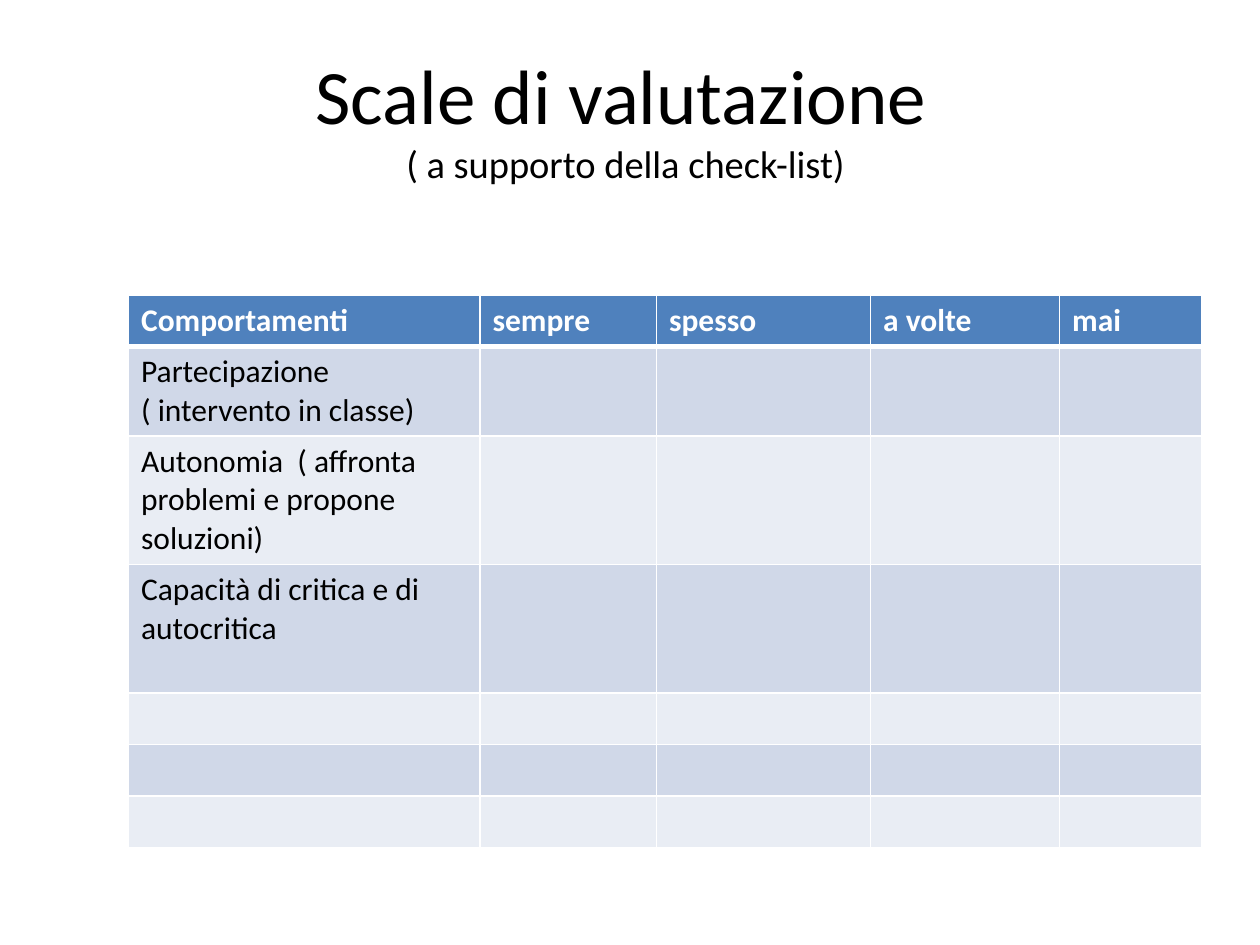
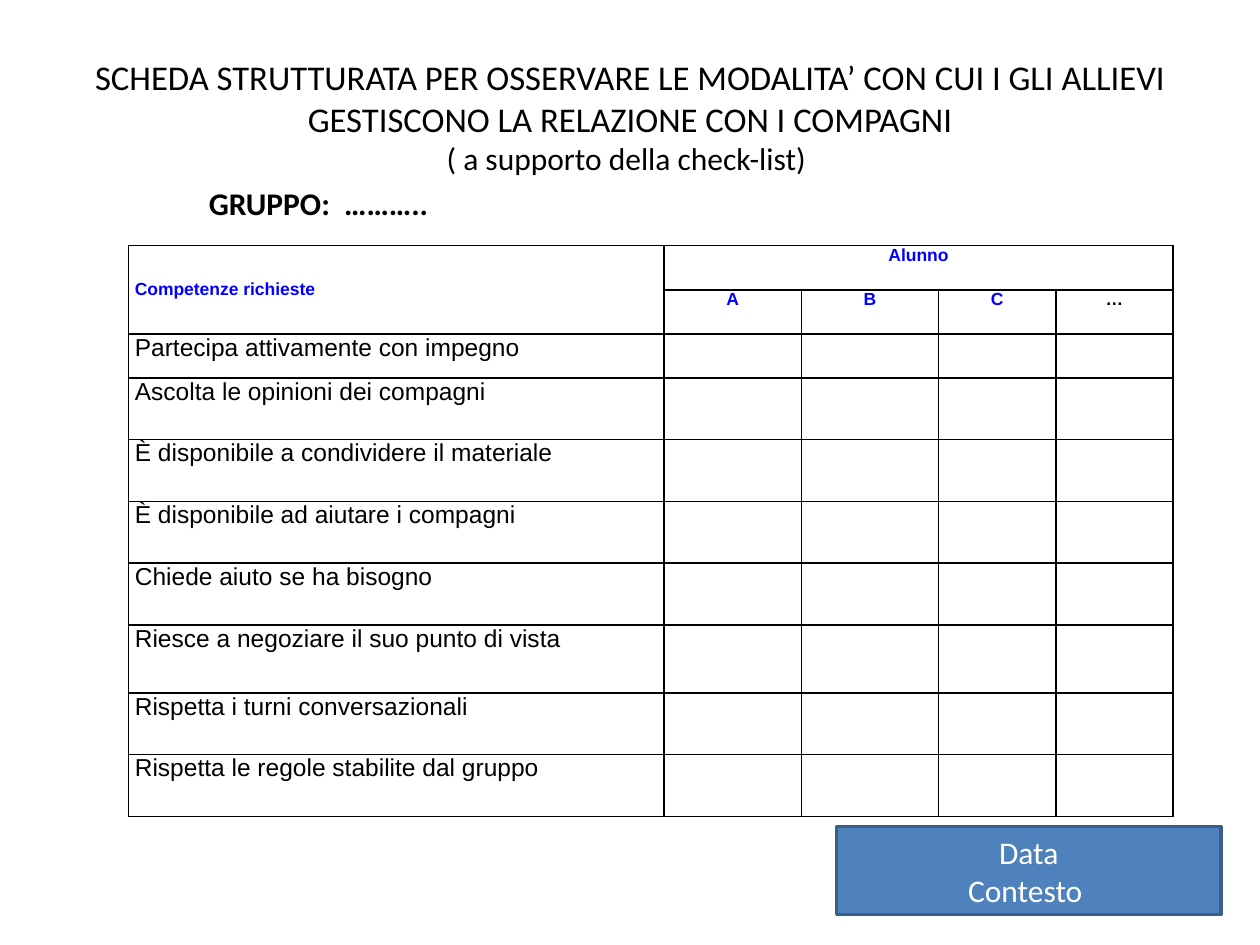
from lxml import etree
from pptx import Presentation
from pptx.dml.color import RGBColor
from pptx.enum.shapes import MSO_SHAPE
from pptx.enum.text import MSO_ANCHOR, PP_ALIGN
from pptx.oxml.ns import qn
from pptx.util import Inches, Pt

LEFT, CENTER = PP_ALIGN.LEFT, PP_ALIGN.CENTER
TOP, MIDDLE = MSO_ANCHOR.TOP, MSO_ANCHOR.MIDDLE
RECTANGLE = MSO_SHAPE.RECTANGLE

BLACK = RGBColor(0x00, 0x00, 0x00)
WHITE = RGBColor(0xFF, 0xFF, 0xFF)
ACCENT = RGBColor(0x4F, 0x81, 0xBD)
ACCENT_DARK = RGBColor(0x3A, 0x5F, 0x8C)
BAND_DARK = RGBColor(0xD0, 0xD8, 0xE8)
BAND_LIGHT = RGBColor(0xE9, 0xED, 0xF4)
HEADING_BLUE = RGBColor(0x00, 0x00, 0xFF)
BODY_FONT, FORM_FONT = "Calibri", "Arial"

# Content: rating scales
SCALE_TITLE = [("Scale di valutazione ", 44), ("( a supporto della check-list) ", 22)]
SCALE_HEADER = ["Comportamenti", "sempre", "spesso", "a volte", "mai"]
BEHAVIOURS = [
    ["Partecipazione", "( intervento in classe)"],
    ["Autonomia  ( affronta problemi e propone soluzioni)"],
    ["Capacità di critica e di autocritica"],
    [], [], [],
]
SCALE_COLUMNS = [2.79, 1.4, 1.7, 1.5, 1.13]
SCALE_ROWS = [0.41, 0.71, 1.02, 1.02, 0.41, 0.41, 0.41]

# Content: observation form
FORM_TITLE = [
    ("SCHEDA STRUTTURATA PER OSSERVARE LE MODALITA’ CON CUI I GLI ALLIEVI "
     "GESTISCONO LA RELAZIONE CON I COMPAGNI", 19.8),
    ("( a supporto della check-list) ", 18),
]
GROUP_LABEL = "GRUPPO:  ……….."
SKILLS_HEADING, PUPIL_HEADING = "Competenze richieste", "Alunno"
PUPILS = ["A", "B", "C", "…"]
SKILLS = [
    "Partecipa attivamente con impegno",
    "Ascolta le opinioni dei compagni",
    "È disponibile a condividere il materiale",
    "È disponibile ad aiutare i compagni",
    "Chiede aiuto se ha bisogno",
    "Riesce a negoziare il suo punto di vista",
    "Rispetta i turni conversazionali",
    "Rispetta le regole stabilite dal gruppo",
]
FORM_COLUMNS = [4.25, 1.09, 1.09, 0.93, 0.93]
FORM_ROWS = [0.35] * 3 + [0.49] * 4 + [0.54] + [0.49] * 2
CONTEXT_LINES = ["Data", "Contesto "]

# Shared places, in inches
SLIDE_SIZE = (10, 7.5)
TITLE_BOX = (0.5, 0.3, 9, 1.25)
TABLE_LEFT = 1.02


def write(frame, lines, align=LEFT, anchor=TOP, font=BODY_FONT, color=BLACK, bold=False):
    """Write (text, size) lines, one paragraph each."""
    frame.word_wrap = True
    frame.vertical_anchor = anchor
    for number, (text, size) in enumerate(lines):
        paragraph = frame.add_paragraph() if number else frame.paragraphs[0]
        paragraph.alignment = align
        run = paragraph.add_run()
        run.text = text
        run.font.name, run.font.size, run.font.bold = font, Pt(size), bold
        run.font.color.rgb = color


def add_text(slide, box, lines, **style):
    write(slide.shapes.add_textbox(*map(Inches, box)).text_frame, lines, **style)


def add_titled_slide(deck, title):
    slide = deck.slides.add_slide(deck.slide_layouts[6])
    add_text(slide, TITLE_BOX, title, align=CENTER, anchor=MIDDLE)
    return slide


def set_borders(cell, color, bottom=1, top=1):
    properties = cell._tc.get_or_add_tcPr()
    for side, width in (("L", 1), ("R", 1), ("T", top), ("B", bottom)):
        line = etree.SubElement(properties, qn(f"a:ln{side}"), w=str(Pt(width)))
        fill = etree.SubElement(line, qn("a:solidFill"))
        etree.SubElement(fill, qn("a:srgbClr"), val=str(color))


def add_grid(slide, top, columns, rows):
    """Add an unstyled table whose cells still need borders and fill."""
    table = slide.shapes.add_table(
        len(rows), len(columns), Inches(TABLE_LEFT), Inches(top),
        Inches(sum(columns)), Inches(sum(rows))).table
    table.first_row = table.horz_banding = False
    for column, width in zip(table.columns, columns):
        column.width = Inches(width)
    for row, height in zip(table.rows, rows):
        row.height = Inches(height)
    return table


def build_scale_slide(deck):
    slide = add_titled_slide(deck, SCALE_TITLE)
    table = add_grid(slide, 2.34, SCALE_COLUMNS, SCALE_ROWS)
    # Header rule and alternating bands
    for number, row in enumerate(table.rows):
        band = BAND_DARK if number % 2 else BAND_LIGHT
        for cell in row.cells:
            set_borders(cell, WHITE, bottom=1 if number else 3, top=3 if number == 1 else 1)
            cell.fill.solid()
            cell.fill.fore_color.rgb = band if number else ACCENT
    for column, label in enumerate(SCALE_HEADER):
        write(table.cell(0, column).text_frame, [(label, 18)], color=WHITE, bold=True)
    for number, behaviour in enumerate(BEHAVIOURS, 1):
        write(table.cell(number, 0).text_frame, [(line, 18) for line in behaviour])


def build_form_slide(deck):
    slide = add_titled_slide(deck, FORM_TITLE)
    table = add_grid(slide, 1.95, FORM_COLUMNS, FORM_ROWS)
    for cell in table.iter_cells():
        set_borders(cell, BLACK)
        cell.fill.background()
        cell.margin_left = cell.margin_right = Inches(0.05)
        cell.margin_top = cell.margin_bottom = 0
    # Two-level header
    table.cell(0, 0).merge(table.cell(1, 0))
    table.cell(0, 1).merge(table.cell(0, len(PUPILS)))
    heading = {"font": FORM_FONT, "bold": True}
    write(table.cell(0, 0).text_frame, [(SKILLS_HEADING, 10)], color=HEADING_BLUE, **heading)
    table.cell(0, 0).vertical_anchor = MIDDLE
    write(table.cell(0, 1).text_frame, [(PUPIL_HEADING, 10)], CENTER,
          color=HEADING_BLUE, **heading)
    for column, pupil in enumerate(PUPILS, 1):
        write(table.cell(1, column).text_frame, [(pupil, 10)], CENTER,
              color=BLACK if pupil == "…" else HEADING_BLUE, **heading)
    for number, skill in enumerate(SKILLS, 2):
        write(table.cell(number, 0).text_frame, [(skill, 14)], font=FORM_FONT)
    # Date and context box
    context = slide.shapes.add_shape(RECTANGLE, *map(Inches, (6.64, 6.56, 3.05, 0.7)))
    context.shadow.inherit = False
    context.fill.solid()
    context.fill.fore_color.rgb = ACCENT
    context.line.color.rgb = ACCENT_DARK
    context.line.width = Pt(2)
    write(context.text_frame, [(line, 18) for line in CONTEXT_LINES], CENTER, MIDDLE, color=WHITE)
    add_text(slide, (1.56, 1.41, 3.13, 0.4), [(GROUP_LABEL, 18)], bold=True)


def main():
    deck = Presentation()
    deck.slide_width, deck.slide_height = map(Inches, SLIDE_SIZE)
    build_scale_slide(deck)
    build_form_slide(deck)
    deck.save("out.pptx")


if __name__ == "__main__":
    main()
